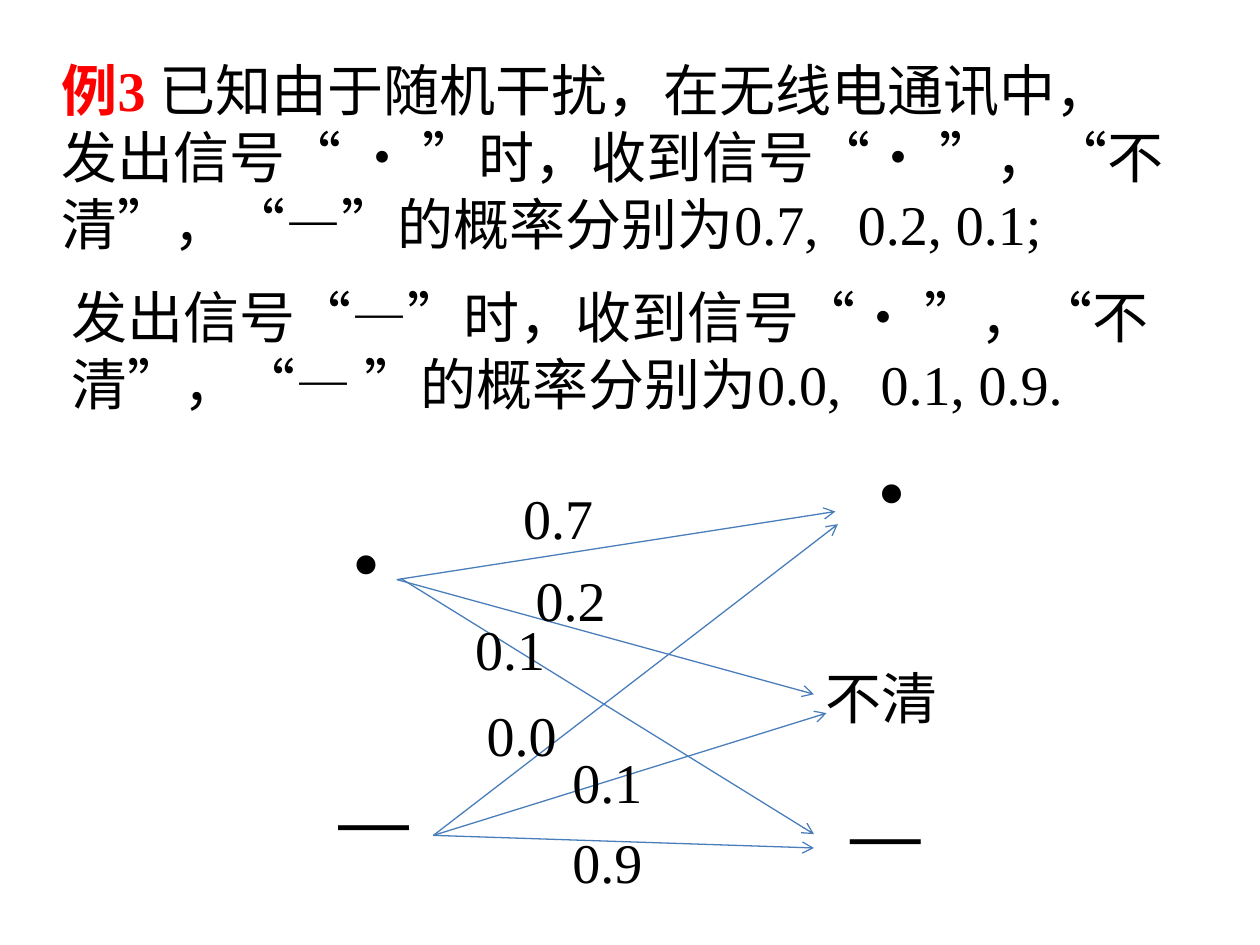
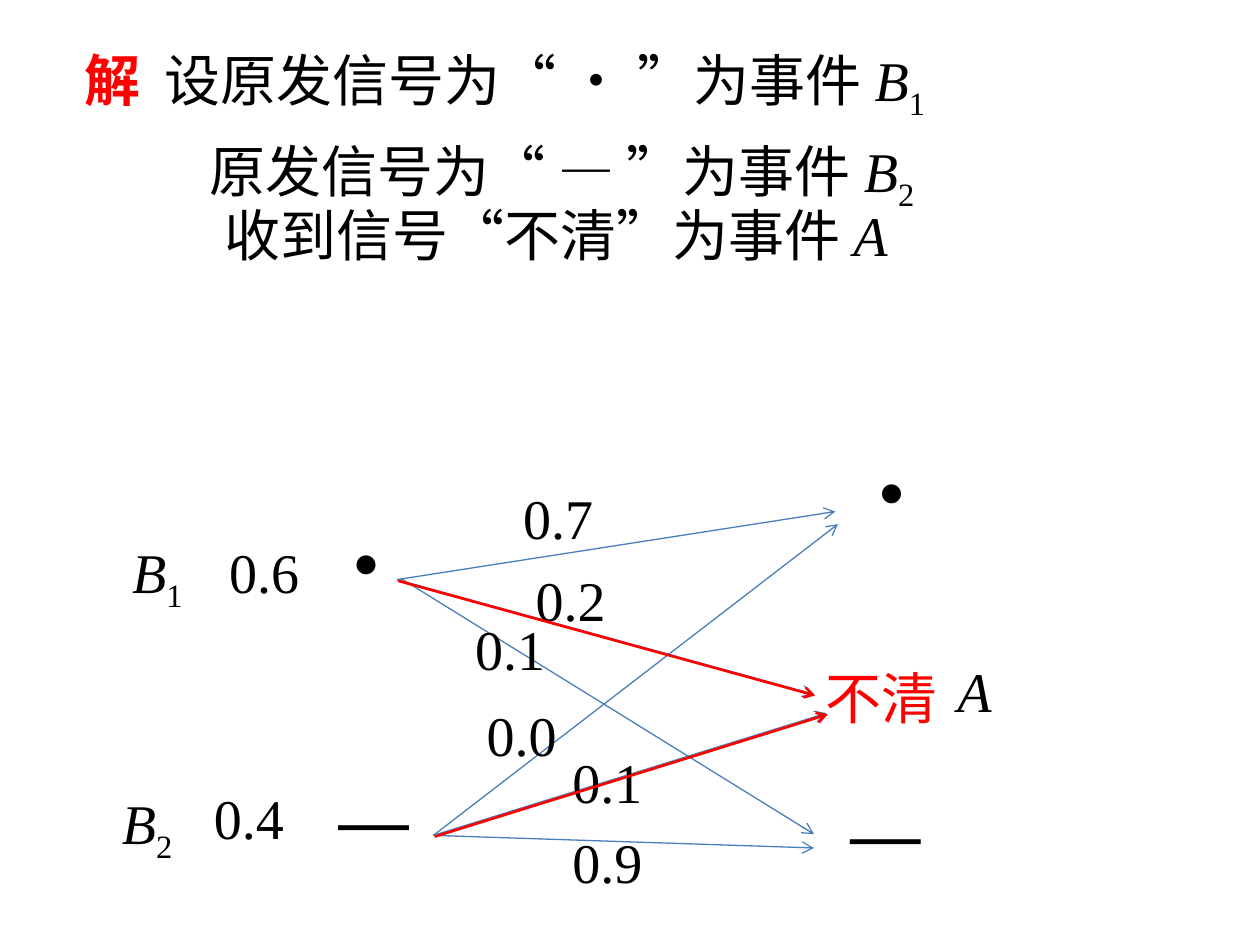
from dataclasses import dataclass

from lxml import etree
from pptx import Presentation
from pptx.dml.color import RGBColor
from pptx.enum.lang import MSO_LANGUAGE_ID
from pptx.enum.shapes import MSO_CONNECTOR
from pptx.enum.text import MSO_AUTO_SIZE, PP_ALIGN
from pptx.oxml.ns import qn
from pptx.util import Inches, Pt

CHINESE = MSO_LANGUAGE_ID.SIMPLIFIED_CHINESE
STRAIGHT = MSO_CONNECTOR.STRAIGHT
GROW = MSO_AUTO_SIZE.SHAPE_TO_FIT_TEXT
CENTER = PP_ALIGN.CENTER


@dataclass(frozen=True)
class Theme:
    font: str = "Times New Roman"
    ink: str = "000000"
    accent: str = "FF0000"
    route: str = "4A7EBB"
    body: int = 32
    symbol: int = 40
    thin: float = 0.75
    thick: float = 1.5


THEME = Theme()

# The slide is a grid of 100 columns by 75 rows
WIDTH, HEIGHT = Inches(10), Inches(7.5)
COLUMN, ROW = WIDTH // 100, HEIGHT // 75

# Regions: left, top, width, height in columns and rows
PROBLEM = (3.9, 3.9, 94.3, 29.7)
SOLUTION = (5.7, 3.1, 74.3, 24)
DIAGRAM = (25, 35, 50.7, 36.6)
PRIORS = (8.7, 42.2, 16, 27)

LABEL_SIZE = (7.6, 6.4)
DOT_SIZE, DASH_SIZE = (3.9, 7.7), (7.6, 7.7)

# Channel: sent signal, received signal and probability, relative to DIAGRAM
SYMBOLS = [
    ("•", (2.1, 5.7), DOT_SIZE), ("—", (0.9, 26), DASH_SIZE),
    ("•", (43.8, 0), DOT_SIZE), ("—", (41.5, 27.1), DASH_SIZE),
]
DOT_START, DASH_START = (6.5, 11), (9.4, 31.3)
DOT_TO_UNCLEAR = (DOT_START, (39.6, 20.1))
DASH_TO_UNCLEAR = (DASH_START, (40.6, 21.6))
CHANNEL = [
    ((DOT_START, (41.3, 5.6)), "0.7", (15.5, 2.9)),
    (DOT_TO_UNCLEAR, "0.2", (16.5, 9.4)),
    (((6.8, 10.9), (39.6, 31.2)), "0.1", (11.7, 13.3)),
    ((DASH_START, (41.5, 6.6)), "0.0", (12.6, 20.1)),
    (DASH_TO_UNCLEAR, "0.1", (19.4, 23.8)),
    ((DASH_START, (39.6, 32.3)), "0.9", (19.4, 30.2)),
]

BOLD = {"bold": True}
ITALIC = {"italic": True}
SUBSCRIPT = {"subscript": True}
HEADING = {"bold": True, "color": THEME.accent}


def add_span(para, text, size=THEME.body, color=THEME.ink, bold=False,
             italic=False, subscript=False):
    span = para.add_run()
    span.text = text
    font = span.font
    font.name, font.size, font.language_id = THEME.font, Pt(size), CHINESE
    font.bold, font.italic = bold, italic
    font.color.rgb = RGBColor.from_string(color)
    if subscript:
        font._element.set("baseline", "-25000")


def add_para(frame, spans, first, align=None, spacing=None, indent=0, tab=0):
    """Add one paragraph; each span is plain text or (text, format)."""
    para = frame.paragraphs[0] if first else frame.add_paragraph()
    properties = para._p.get_or_add_pPr()
    if indent:
        properties.set("marL", str(int(indent * COLUMN)))
    if tab:
        stops = etree.SubElement(properties, qn("a:tabLst"))
        etree.SubElement(stops, qn("a:tab"), pos=str(int(tab * COLUMN)), algn="l")
    if align is not None:
        para.alignment = align
    if spacing:
        para.line_spacing = spacing
    for span in spans:
        text, style = (span, {}) if isinstance(span, str) else span
        add_span(para, text, **style)


def add_text(page, region, offset, size, *paras, wrap=False):
    """Place text in a region; each para is a list of spans or (spans, layout)."""
    box = page.shapes.add_textbox(
        int((region[0] + offset[0]) * COLUMN), int((region[1] + offset[1]) * ROW),
        int(size[0] * COLUMN), int(size[1] * ROW))
    frame = box.text_frame
    frame.word_wrap = wrap
    frame.auto_size = GROW
    for index, para in enumerate(paras):
        spans, layout = para if isinstance(para, tuple) else (para, {})
        add_para(frame, spans, index == 0, **layout)


def add_arrow(page, region, route, color=THEME.route, width=THEME.thin, shift=0):
    ends = []
    for column, row in route:
        ends += [int((region[0] + column + shift) * COLUMN),
                 int((region[1] + row + shift) * ROW)]
    arrow = page.shapes.add_connector(STRAIGHT, *ends)
    arrow.line.color.rgb = RGBColor.from_string(color)
    arrow.line.width = Pt(width)
    properties = arrow.element.spPr
    etree.SubElement(properties.find(qn("a:ln")), qn("a:tailEnd"), type="arrow")
    etree.SubElement(properties, qn("a:effectLst"))


def draw_channel(page, region, unclear_color=THEME.ink, highlights=()):
    # Signals on both sides
    for symbol, offset, size in SYMBOLS:
        add_text(page, region, offset, size,
                 [(symbol, {"size": THEME.symbol, "bold": True})])
    # Routes with their probabilities
    for route, _, _ in CHANNEL:
        add_arrow(page, region, route)
    for _, probability, offset in CHANNEL:
        add_text(page, region, offset, LABEL_SIZE, ([probability], {"align": CENTER}))
    # Routes that lead to the event in question
    for route in highlights:
        add_arrow(page, region, route, THEME.accent, THEME.thick, shift=0.1)
    add_text(page, region, (39.5, 17.2), (11.2, 6.4),
             [("不清", {"color": unclear_color})], wrap=True)


def draw_problem(page, region):
    add_text(page, region, (0, 0), (region[2], 17),
             [("例3 ", HEADING), "已知由于随机干扰，在无线电通讯中，"],
             (["发出信号“ • ”时，收到信号“• ”，“不清”，“", ("—", BOLD),
               "”的概率分别为0.7,\t0.2, 0.1;"], {"tab": 63.2}), wrap=True)
    add_text(page, region, (0.8, 18), (89.1, 11.7),
             (["发出信号“—”时，收到信号“• ”，“不清”，“— ”的概率分别为0.0,\t0.1, 0.9."],
              {"tab": 64.2}), wrap=True)


def draw_solution(page, region):
    add_text(page, region, (0, 0), (region[2], 14),
             ([("解", HEADING), "\t设原发信号为“ • ”为事件 ", ("B", ITALIC),
               ("1", SUBSCRIPT)], {"tab": 6.35}),
             (["原发信号为“ — ”为事件 ", ("B", ITALIC), ("2", SUBSCRIPT)],
              {"indent": 9.95, "spacing": 1.2}), wrap=True)
    add_text(page, region, (11.1, 12.3), (55.9, 11.7),
             ["收到信号“不清”为事件 ", ("A", ITALIC)], wrap=True)


def draw_priors(page, region):
    add_text(page, region, (0.8, 0), (6, 7.1), [("B", ITALIC), ("1", SUBSCRIPT)])
    add_text(page, region, (0, 18.7), (6, 8.3),
             ([("B", ITALIC), ("2", SUBSCRIPT)], {"spacing": 1.2}))
    add_text(page, region, (8.5, 0), LABEL_SIZE, ["0.6"])
    add_text(page, region, (7.3, 19.5), LABEL_SIZE, ["0.4"])


def build_problem_slide(page):
    draw_problem(page, PROBLEM)
    draw_channel(page, DIAGRAM)


def build_solution_slide(page):
    draw_solution(page, SOLUTION)
    draw_priors(page, PRIORS)
    draw_channel(page, DIAGRAM, THEME.accent, (DOT_TO_UNCLEAR, DASH_TO_UNCLEAR))
    add_text(page, DIAGRAM, (50, 16.6), (4.7, 6.4), [("A", ITALIC)])


def main():
    deck = Presentation()
    deck.slide_width, deck.slide_height = WIDTH, HEIGHT
    blank = deck.slide_layouts[6]
    for build in (build_problem_slide, build_solution_slide):
        build(deck.slides.add_slide(blank))
    deck.save("out.pptx")


if __name__ == "__main__":
    main()
